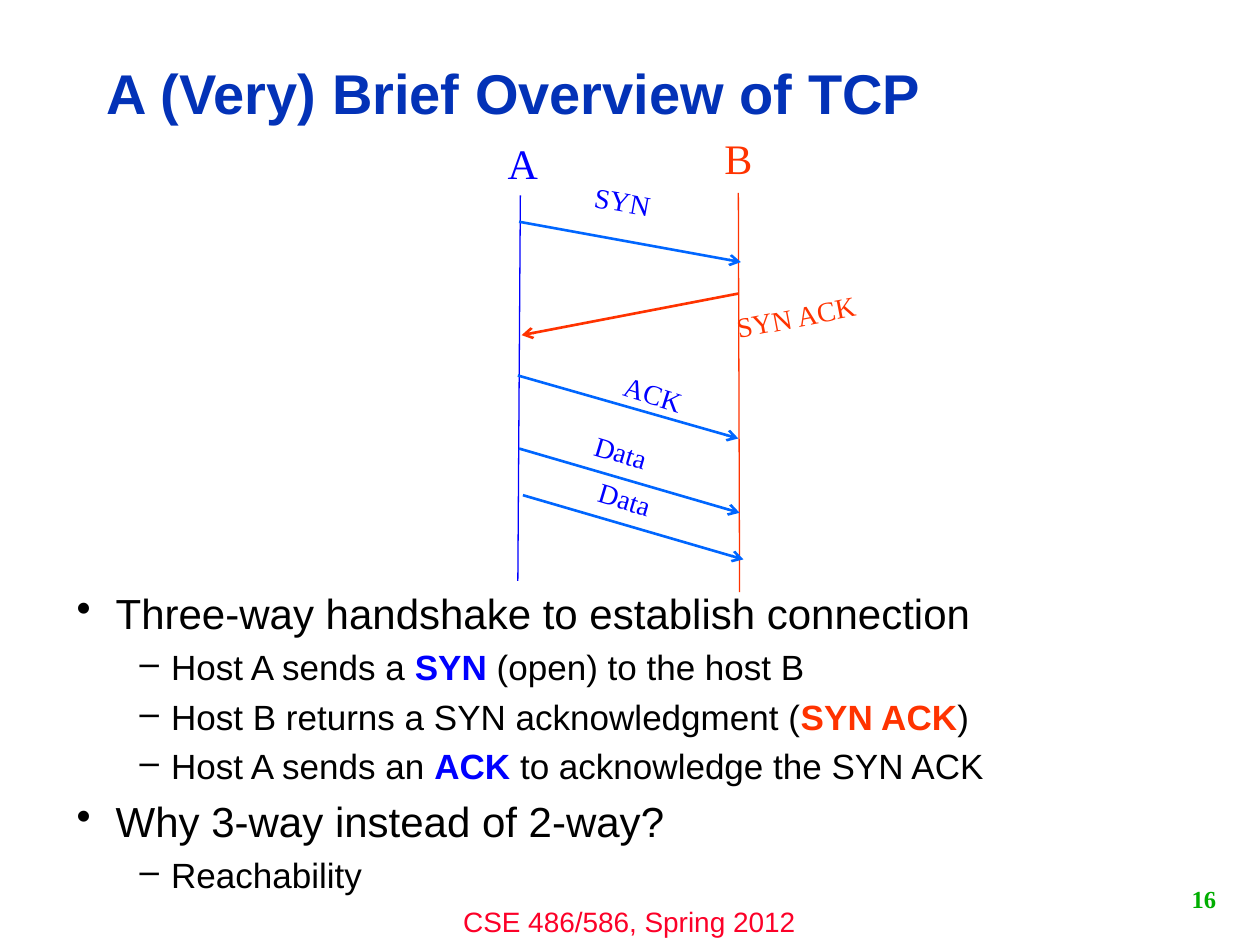
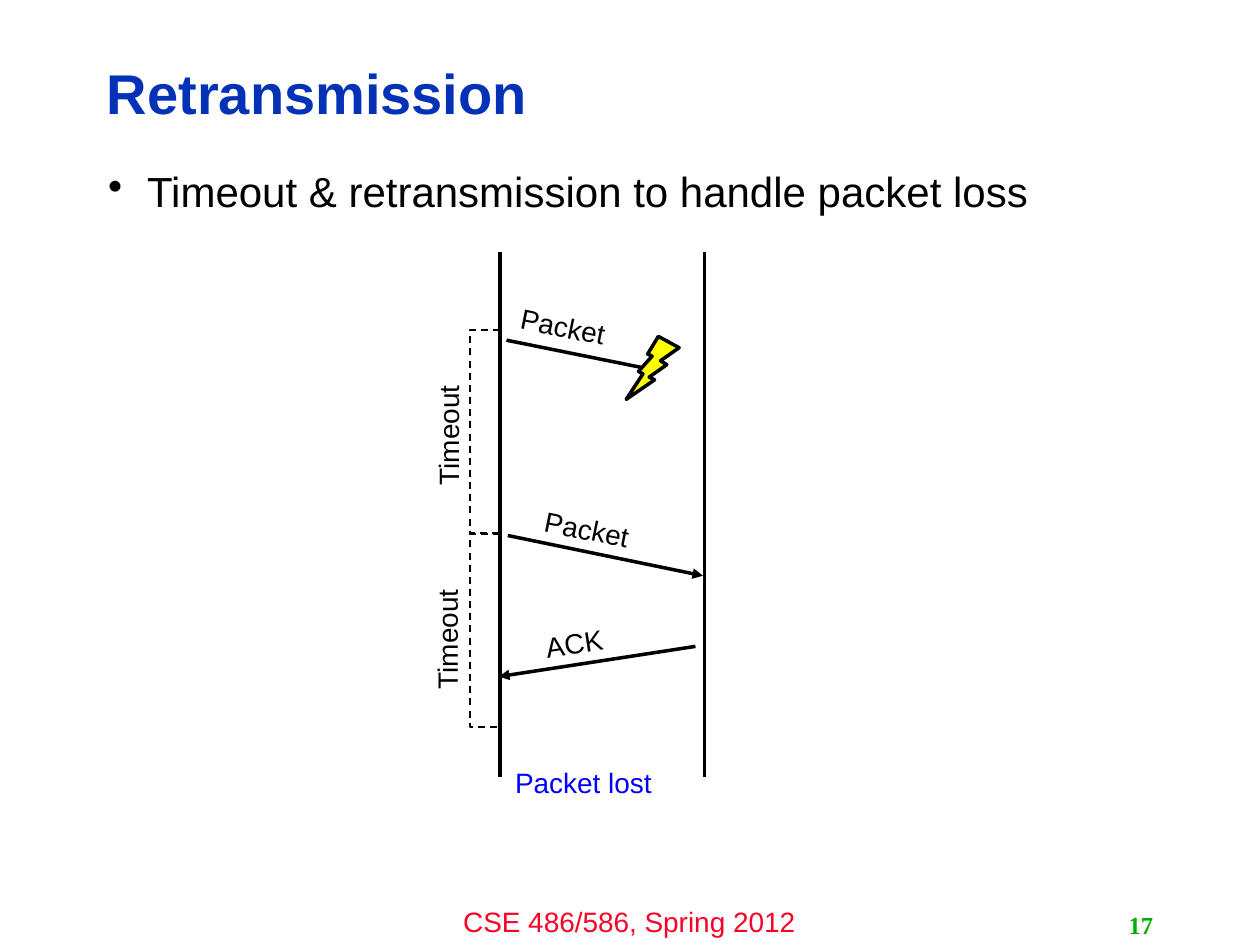
from dataclasses import dataclass
from typing import NamedTuple

from pptx import Presentation
from pptx.dml.color import RGBColor
from pptx.enum.dml import MSO_LINE
from pptx.enum.shapes import MSO_CONNECTOR, MSO_SHAPE
from pptx.enum.text import MSO_ANCHOR, PP_ALIGN
from pptx.oxml.ns import qn
from pptx.util import Inches, Pt

STRAIGHT = MSO_CONNECTOR.STRAIGHT
BOLT = MSO_SHAPE.LIGHTNING_BOLT
DASH = MSO_LINE.DASH
TOP, MIDDLE = MSO_ANCHOR.TOP, MSO_ANCHOR.MIDDLE
LEFT, CENTER, RIGHT = PP_ALIGN.LEFT, PP_ALIGN.CENTER, PP_ALIGN.RIGHT

HEX = {
    "title": "0332B7", "footer": "FC0128", "number": "00AE00",
    "black": "000000", "blue": "0000FF", "red": "FF3300",
    "arrow": "0066FF", "yellow": "FFFF00",
}
SANS, SERIF = "Arial", "Times New Roman"


class Run(NamedTuple):
    text: str
    color: str = ""     # a colour makes the run stand out in bold


class Level(NamedTuple):
    size: int
    mark: str
    left: float
    hang: float


class Box(NamedTuple):
    x: float
    y: float
    w: float
    h: float


@dataclass
class Item:
    runs: list[Run]
    level: int = 0


@dataclass
class Line:
    x1: float
    y1: float
    x2: float
    y2: float
    color: str = "black"
    width: float = 2
    tip: str = ""


@dataclass
class Label:
    text: str
    box: Box
    turn: float = 0
    color: str = "black"
    size: int = 16


LEVELS = [Level(24, "•", 0.31, 0.31), Level(20, "–", 0.75, 0.25)]


def rgb(name: str) -> RGBColor:
    return RGBColor.from_string(HEX[name])


def bullet(para, level: Level) -> None:
    props = para._p.get_or_add_pPr()
    props.set("marL", str(Inches(level.left)))
    props.set("indent", str(-Inches(level.hang)))
    props.makeelement(qn("a:buChar"), {})
    mark = props.makeelement(qn("a:buChar"), {"char": level.mark})
    props.append(mark)


def text(slide, content: str | list[Item], box: Box, *, size=16, font=SANS,
         color="black", bold=False, align=LEFT, anchor=MIDDLE, turn=0.0,
         lead=1.0) -> None:
    """Write a plain string, or a list of bulleted items."""
    shape = slide.shapes.add_textbox(*map(Inches, box))
    shape.rotation = turn
    frame = shape.text_frame
    frame.word_wrap = True
    frame.vertical_anchor = anchor
    plain = isinstance(content, str)
    items = [Item([Run(content)])] if plain else content
    for i, item in enumerate(items):
        para = frame.paragraphs[0] if i == 0 else frame.add_paragraph()
        if not plain:
            level = LEVELS[item.level]
            bullet(para, level)
            size = level.size
        para.alignment = align
        para.line_spacing = lead
        if i:
            para.space_before = Pt(round(size / 3, 1))
        for part in item.runs:
            run = para.add_run()
            run.text = part.text
            run.font.name = font
            run.font.size = Pt(size)
            run.font.bold = bold or bool(part.color)
            run.font.color.rgb = rgb(part.color or color)


def label(slide, item: Label, font: str) -> None:
    text(slide, item.text, item.box, size=item.size, font=font,
         color=item.color, turn=item.turn)


def line(slide, item: Line) -> None:
    ends = map(Inches, (item.x1, item.y1, item.x2, item.y2))
    shape = slide.shapes.add_connector(STRAIGHT, *ends)
    shape.line.color.rgb = rgb(item.color)
    shape.line.width = Pt(item.width)
    props = shape._element.spPr
    if item.tip:
        stroke = shape.line._get_or_add_ln()
        stroke.append(stroke.makeelement(qn("a:tailEnd"), {"type": item.tip}))
    props.append(props.makeelement(qn("a:effectLst"), {}))


def bracket(slide, top: float, base: float) -> None:
    """Draw a dashed span that opens towards the sender's line."""
    near, far = Inches(3.97), Inches(3.73)
    pen = slide.shapes.build_freeform(near, Inches(top))
    pen.add_line_segments(
        [(far, Inches(top)), (far, Inches(base)), (near, Inches(base))],
        close=False)
    shape = pen.convert_to_shape()
    shape.shadow.inherit = False
    shape.fill.background()
    shape.line.color.rgb = rgb("black")
    shape.line.width = Pt(1)
    shape.line.dash_style = DASH


def bolt(slide, box: Box) -> None:
    shape = slide.shapes.add_shape(BOLT, *map(Inches, box))
    shape._element.spPr.xfrm.set("flipH", "1")
    shape.shadow.inherit = False
    shape.fill.solid()
    shape.fill.fore_color.rgb = rgb("yellow")
    shape.line.color.rgb = rgb("black")
    shape.line.width = Pt(2)


def frame(deck, title: str, number: str, spot: Box):
    """Add a slide with its title, footer and page number."""
    slide = deck.slides.add_slide(deck.slide_layouts[6])
    text(slide, "CSE 486/586, Spring 2012", Box(3.33, 7.13, 3.33, 0.37),
         color="footer", align=CENTER, anchor=TOP)
    text(slide, number, spot, size=14, font=SERIF, color="number",
         bold=True, align=RIGHT)
    text(slide, title, Box(0.75, 0.36, 7.98, 0.81), size=32, color="title",
         bold=True, lead=0.9)
    return slide


def body(slide, items: list[Item], box: Box) -> None:
    text(slide, items, box, anchor=TOP, lead=0.9)


def shake(deck) -> None:
    slide = frame(deck, "A (Very) Brief Overview of TCP", "16",
                  Box(8.75, 6.92, 1, 0.42))
    body(slide, [
        Item([Run("Three-way handshake to establish connection")]),
        Item([Run("Host A sends a "), Run("SYN", "blue"),
              Run(" (open) to the host B")], 1),
        Item([Run("Host B returns a SYN acknowledgment ("),
              Run("SYN ACK", "red"), Run(")")], 1),
        Item([Run("Host A sends an "), Run("ACK", "blue"),
              Run(" to acknowledge the SYN ACK")], 1),
        Item([Run("Why 3-way instead of 2-way?")]),
        Item([Run("Reachability")], 1),
    ], Box(0.51, 4.66, 9.25, 2.12))
    for item in (
        Line(4.13, 1.55, 4.11, 4.61, "blue", 0.75),
        Line(5.86, 1.53, 5.87, 4.7, "red", 0.75),
        Line(4.12, 1.76, 5.88, 2.08, "arrow", 1.5, "arrow"),
        Line(5.86, 2.33, 4.14, 2.66, "red", 1.5, "arrow"),
        Line(4.11, 2.98, 5.86, 3.48, "arrow", 1.5, "arrow"),
        Line(4.12, 3.56, 5.87, 4.07, "arrow", 1.5, "arrow"),
        Line(4.15, 3.93, 5.9, 4.44, "arrow", 1.5, "arrow"),
    ):
        line(slide, item)
    for item in (
        Label("A", Box(3.93, 1.04, 0.44, 0.5), 0, "blue", 24),
        Label("B", Box(5.65, 1, 0.42, 0.5), 0, "red", 24),
        Label("SYN", Box(4.62, 1.39, 0.76, 0.43), 10.1, "blue"),
        Label("SYN ACK", Box(5.74, 2.29, 1.23, 0.43), -10.9, "red"),
        Label("ACK", Box(4.85, 2.93, 0.79, 0.43), 17.4, "blue"),
        Label("Data", Box(4.62, 3.39, 0.73, 0.43), 16.7, "blue"),
        Label("Data", Box(4.65, 3.76, 0.73, 0.43), 16.7, "blue"),
    ):
        label(slide, item, SERIF)


def resend(deck) -> None:
    slide = frame(deck, "Retransmission", "17", Box(7.17, 7.18, 2.08, 0.32))
    body(slide, [Item([Run("Timeout & retransmission to handle packet loss")])],
         Box(0.76, 1.31, 8.4, 5.39))
    for x in (3.97, 5.59):
        line(slide, Line(x, 2, x, 6.17))
    for item in (
        Line(4.02, 2.7, 5.16, 2.93),
        Line(4.03, 4.25, 5.58, 4.57, tip="triangle"),
        Line(5.52, 5.13, 3.96, 5.37, tip="triangle"),
    ):
        line(slide, item)
    for top, base in ((2.62, 4.23), (4.24, 5.77)):
        bracket(slide, top, base)
    bolt(slide, Box(4.97, 2.67, 0.42, 0.5))
    for item in (
        Label("Packet", Box(4.03, 2.39, 1.05, 0.43), 11.5),
        Label("Packet", Box(4.22, 4, 1.05, 0.43), 11.5),
        Label("ACK", Box(4.23, 4.88, 0.77, 0.43), -8.8),
        Label("Timeout", Box(2.89, 3.07, 1.33, 0.43), 270),
        Label("Timeout", Box(2.88, 4.69, 1.33, 0.43), 270),
        Label("Packet lost", Box(3.99, 5.99, 1.67, 0.43), 0, "blue"),
    ):
        label(slide, item, SANS)


def main() -> None:
    deck = Presentation()
    deck.slide_width, deck.slide_height = Inches(10), Inches(7.5)
    shake(deck)
    resend(deck)
    deck.save("out.pptx")


if __name__ == "__main__":
    main()
